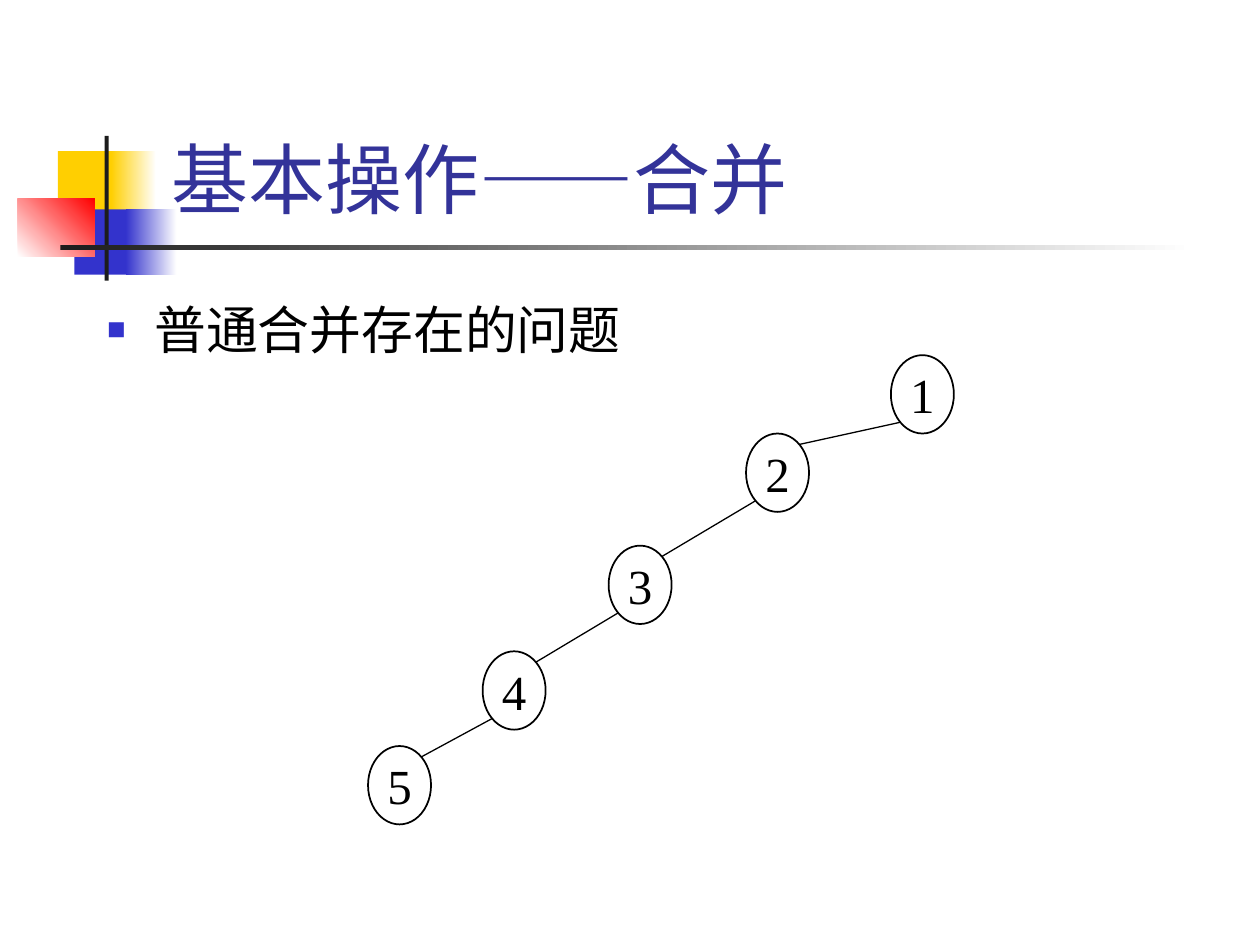
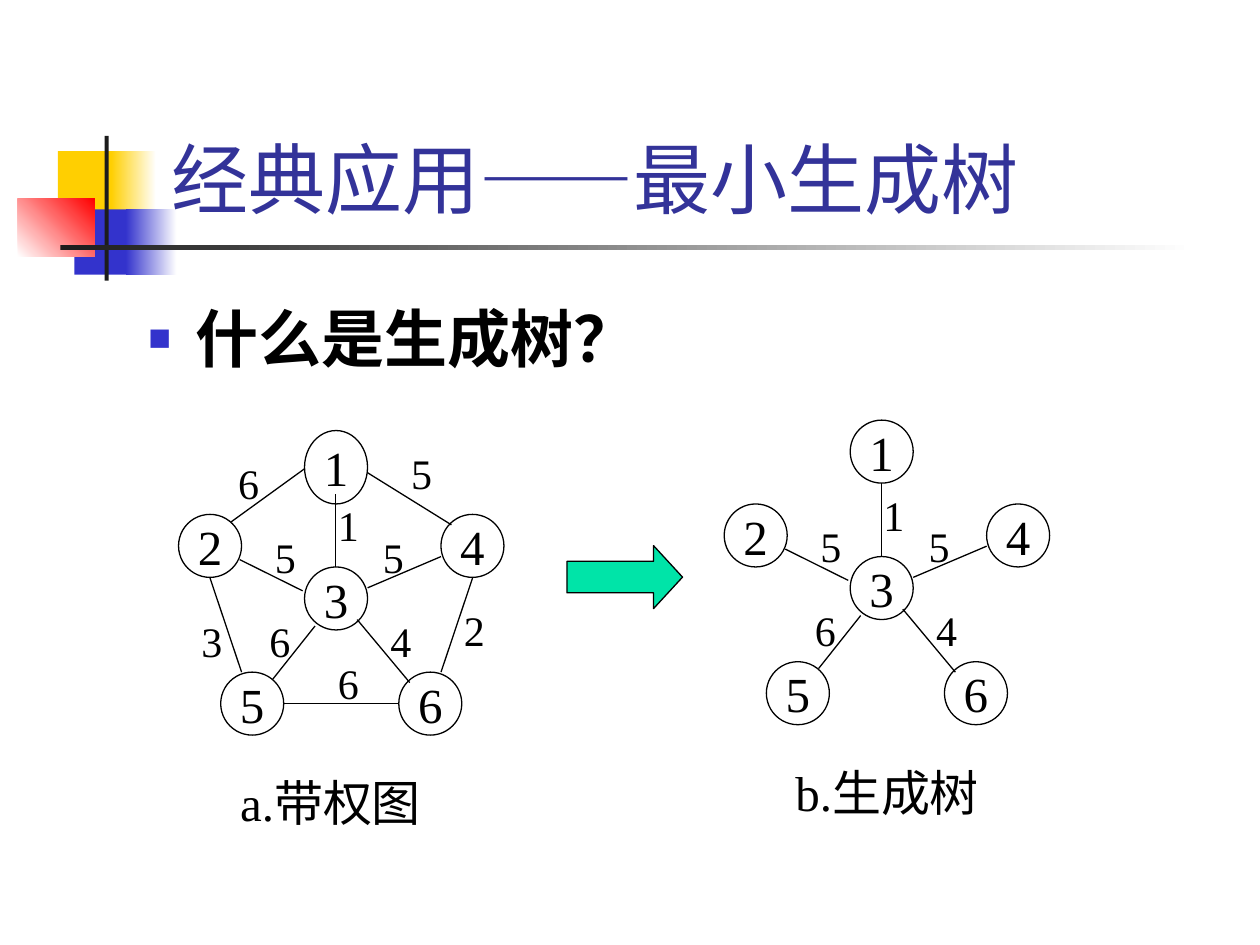
from dataclasses import dataclass

from lxml import etree
from pptx import Presentation
from pptx.dml.color import RGBColor
from pptx.enum.shapes import MSO_CONNECTOR, MSO_SHAPE
from pptx.enum.text import MSO_ANCHOR, MSO_AUTO_SIZE, PP_ALIGN
from pptx.oxml.ns import qn
from pptx.util import Cm, Pt


@dataclass(frozen=True)
class Theme:
    white: str = "FFFFFF"
    black: str = "000000"
    ink: str = "1C1C1C"
    yellow: str = "FFCF01"
    blue: str = "3333CC"
    red: str = "FF0000"
    title: str = "333399"
    arrow: str = "00E4A8"
    sans: str = "Roboto"
    dash: str = "Arial"
    serif: str = "Times New Roman"
    cjk: str = "Noto Sans CJK SC"
    title_size: float = 44
    node_size: float = 28
    weight_size: float = 24


T = Theme()


def write(sp, parts, size, color=T.black, align=PP_ALIGN.CENTER, before=0, bold=False):
    """Fill the first paragraph with (text, font) parts."""
    p = sp.text_frame.paragraphs[0]
    p.alignment = align
    p.space_before = Pt(before)
    for text, font in parts:
        r = p.add_run()
        r.text = text
        r.font.size = Pt(size)
        r.font.name = font
        r.font.bold = bold
        r.font.color.rgb = RGBColor.from_string(color)
        etree.SubElement(r._r.get_or_add_rPr(), qn("a:ea"), typeface=T.cjk)
    return p


def paint(sp, fill=None, line_width=0):
    """Set fill and black outline, without a shadow."""
    sp.shadow.inherit = False
    if fill:
        sp.fill.solid()
        sp.fill.fore_color.rgb = RGBColor.from_string(fill)
    else:
        sp.fill.background()
    if line_width:
        sp.line.color.rgb = RGBColor.from_string(T.black)
        sp.line.width = Pt(line_width)
    else:
        sp.line.fill.background()


prs = Presentation()
prs.slide_width, prs.slide_height = Cm(25.4), Cm(19.05)
layout = prs.slide_layouts[5]

# Slides with title and bullet: title parts, bullet box, text, font, size, space before, bold
pages = [
    ([("基本操作——合并", T.sans)],
     (1.91, 5.87, 21.59, 1.57), "普通合并存在的问题", T.sans, 29.6, 8, False),
    ([("经典应用", T.sans), ("——", T.dash), ("最小生成树", T.sans)],
     (2.74, 5.92, 16.51, 2.11), "什么是生成树？", T.cjk, 36, 9, True),
]
slides = []
for title_parts, box, bullet, font, size, before, bold in pages:
    s = prs.slides.add_slide(layout)
    slides.append(s)

    title = s.shapes.title
    title.left, title.top, title.width, title.height = Cm(3.2), Cm(0.58), Cm(21.64), Cm(4.06)
    title.text_frame.vertical_anchor = MSO_ANCHOR.BOTTOM
    title.text_frame.auto_size = MSO_AUTO_SIZE.NONE
    write(title, title_parts, T.title_size, T.title, PP_ALIGN.LEFT)

    tb = s.shapes.add_textbox(*map(Cm, box))
    tb.text_frame.word_wrap = True
    p = write(tb, [(bullet, font)], size, T.black, PP_ALIGN.LEFT, before, bold)
    pPr = p._p.get_or_add_pPr()
    pPr.set("marL", str(Cm(0.95)))
    pPr.set("indent", str(-Cm(0.95)))
    color = etree.SubElement(pPr, qn("a:buClr"))
    etree.SubElement(color, qn("a:srgbClr"), val=T.blue)
    etree.SubElement(pPr, qn("a:buSzPct"), val="60000")
    etree.SubElement(pPr, qn("a:buFont"), typeface=T.dash)
    etree.SubElement(pPr, qn("a:buChar"), char="■")

# Shared ornament, moved to the layout: box, start colour, end colour, angle
ornament = [
    ((1.17, 3.05, 1.22, 1.32), T.yellow, None, 0),
    ((2.24, 3.05, 0.91, 1.32), T.yellow, T.white, 0),
    ((1.5, 4.22, 1.17, 1.32), T.blue, None, 0),
    ((2.54, 4.22, 1.02, 1.32), T.blue, T.white, 0),
    ((0.36, 4.01, 1.55, 1.17), T.white, T.red, 45),
    ((2.11, 2.74, 0.08, 2.92), T.ink, None, 0),
    ((1.22, 4.94, 22.86, 0.1), T.ink, T.white, 0),
]
for i, (box, start, end, angle) in enumerate(ornament):
    sp = slides[0].shapes.add_shape(MSO_SHAPE.RECTANGLE, *map(Cm, box))
    paint(sp, start)
    if end:
        sp.fill.gradient()
        sp.fill.gradient_angle = angle
        for stop, stop_color in zip(sp.fill.gradient_stops, (start, end)):
            stop.color.rgb = RGBColor.from_string(stop_color)
    sp.element.nvSpPr.cNvPr.set("id", str(100 + i))
    layout.shapes.element.append(sp.element)

# Slide 1: a left-leaning chain, joined lower left to upper right
NODE, TALL = 1.27, 1.58
chain = [("1", 17.96, 7.16), ("2", 15.04, 8.74), ("3", 12.27, 11),
         ("4", 9.73, 13.13), ("5", 7.42, 15.04)]
chain_nodes = [(name, x, y, TALL) for name, x, y in chain]
chain_edges = [((cx + 1.07, cy + 0.22), (px + 0.2, py + 1.35), None, None)
               for (_, px, py), (_, cx, cy) in zip(chain, chain[1:])]

# Slide 2: weighted graph; edges are start, end, weight, weight position
graph_nodes = [("5", 4.45, 13.55, NODE), ("6", 8.04, 13.55, NODE), ("4", 8.89, 10.37, NODE),
               ("2", 3.6, 10.37, NODE), ("3", 6.14, 11.43, NODE), ("1", 6.14, 8.68, 1.48)]
tree_edges = [
    ((5.5, 13.69), (6.35, 12.62), "6", (5.18, 12.28)),
    ((7.41, 11.85), (8.89, 11.22), "5", (7.47, 10.58)),
    ((4.83, 11.28), (6.1, 11.91), "5", (5.29, 10.58)),
    ((6.77, 11.43), (6.77, 9.95), "1", (6.56, 9.95)),
    ((7.2, 12.49), (8.26, 13.76), "4", (7.62, 12.28)),
]
other_edges = [
    ((4.66, 10.52), (6.14, 9.45), "6", (4.55, 9.1)),
    ((7.41, 9.53), (9.1, 10.58), "5", (8.04, 8.89)),
    ((8.89, 13.55), (9.53, 11.64), "2", (9.1, 12.07)),
    ((4.87, 13.55), (4.23, 11.64), "3", (3.81, 12.28)),
    ((5.72, 14.18), (8.04, 14.18), "6", (6.56, 13.12)),
]
tree_nodes = [(name, x, y, NODE) for name, x, y, _ in graph_nodes]

# Draw the three graphs: shapes, nodes, edges, shift, node fill, outline
s = slides[1]
graphs = [
    (slides[0].shapes, chain_nodes, chain_edges, (0, 0), T.white, 1),
    (s.shapes.add_group_shape().shapes, graph_nodes, tree_edges + other_edges, (0, 0), None, 0.75),
    (s.shapes.add_group_shape().shapes, tree_nodes, tree_edges, (11, -0.21), None, 0.75),
]
for shapes, nodes, edges, (dx, dy), fill, outline in graphs:
    for name, x, y, height in nodes:
        sp = shapes.add_shape(MSO_SHAPE.OVAL, Cm(x + dx), Cm(y + dy), Cm(NODE), Cm(height))
        paint(sp, fill, outline)
        sp.text_frame.word_wrap = False
        sp.text_frame.vertical_anchor = MSO_ANCHOR.MIDDLE
        write(sp, [(name, T.serif)], T.node_size)
    for (x1, y1), (x2, y2), weight, spot in edges:
        edge = shapes.add_connector(MSO_CONNECTOR.STRAIGHT, Cm(x1 + dx), Cm(y1 + dy),
                                    Cm(x2 + dx), Cm(y2 + dy))
        edge.line.color.rgb = RGBColor.from_string(T.black)
        edge.line.width = Pt(0.75)
        etree.SubElement(edge.element.spPr, qn("a:effectLst"))
        if weight:
            tb = shapes.add_textbox(Cm(spot[0] + dx), Cm(spot[1] + dy), Cm(0.85), Cm(1.27))
            tb.text_frame.word_wrap = True
            tb.text_frame.auto_size = MSO_AUTO_SIZE.SHAPE_TO_FIT_TEXT
            write(tb, [(weight, T.serif)], T.weight_size, before=15)

# Slide 2: arrow and captions
arrow = s.shapes.add_shape(MSO_SHAPE.RIGHT_ARROW, Cm(11.43), Cm(11), Cm(2.33), Cm(1.27))
arrow.adjustments[0], arrow.adjustments[1] = 0.5, 0.46
paint(arrow, T.arrow, 0.75)
for caption, x, y in [("a.带权图", 4.23, 15.45), ("b.生成树", 15.45, 15.24)]:
    tb = s.shapes.add_textbox(Cm(x), Cm(y), Cm(4.87), Cm(1.45))
    tb.text_frame.word_wrap = True
    tb.text_frame.auto_size = MSO_AUTO_SIZE.SHAPE_TO_FIT_TEXT
    write(tb, [(caption, T.serif)], T.node_size, before=17.5)

prs.save("out.pptx")
